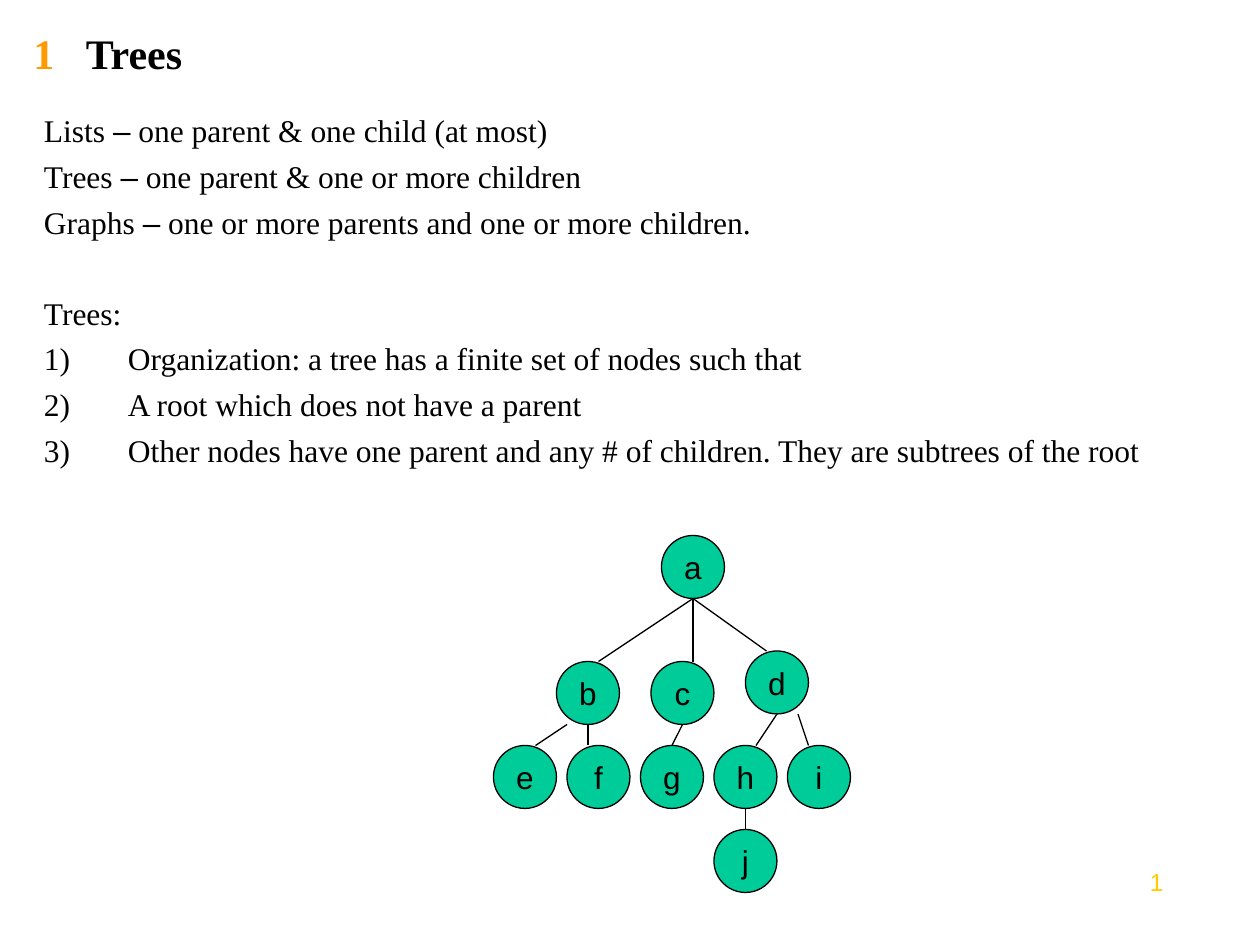
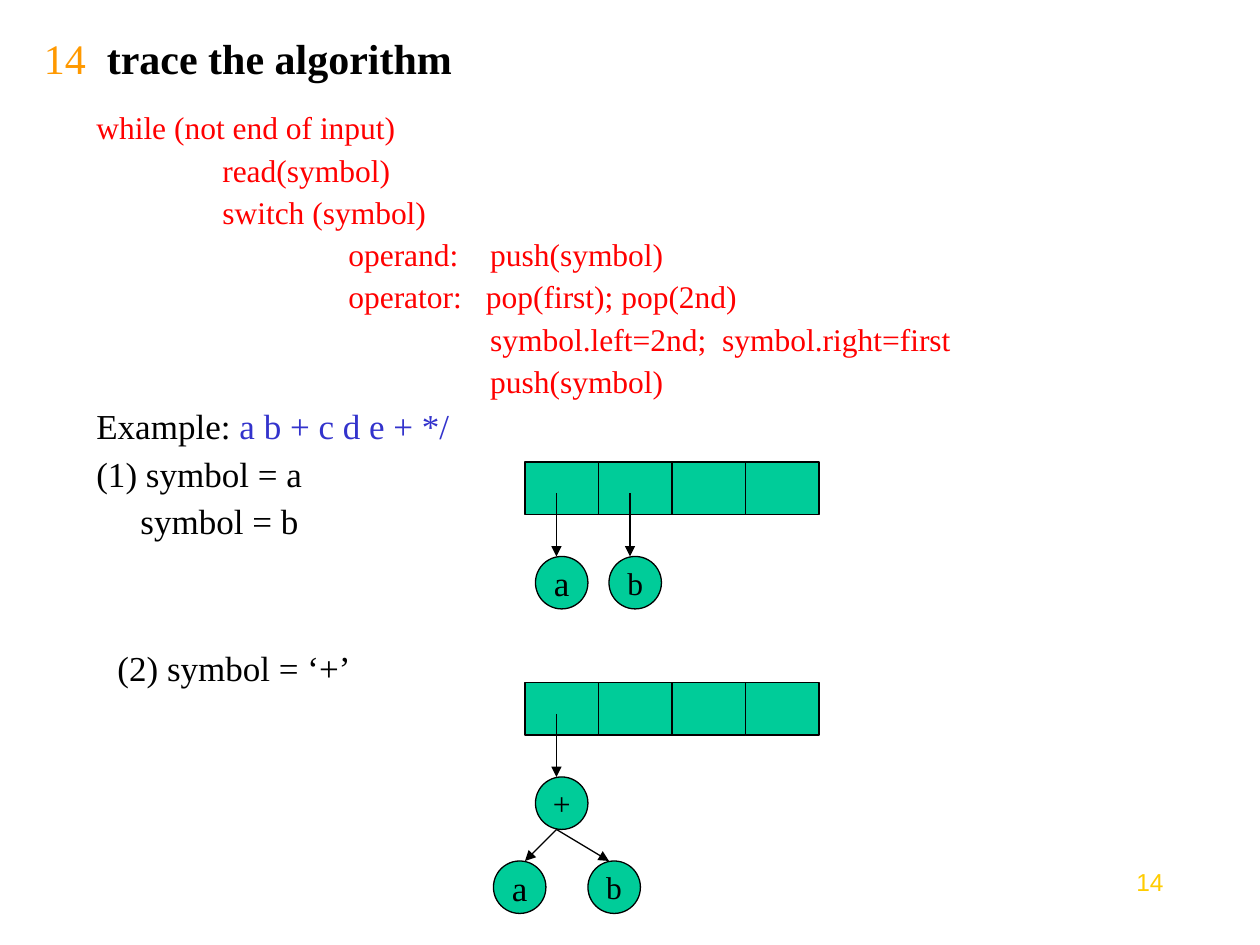
import dataclasses
import typing

import pptx
import pptx.dml.color
import pptx.enum.shapes
import pptx.enum.text
import pptx.oxml.ns
import pptx.util
from lxml import etree

EMU_PER_PX = 7620  # 120 px to the inch


@dataclasses.dataclass(frozen=True)
class Theme:
    serif: str = "Times New Roman"
    sans: str = "Arial"
    ink: str = "000000"
    node: str = "00CC99"
    title_number: str = "FF9900"
    page_number: str = "FFCC00"
    code: str = "FF0000"
    expression: str = "3333CC"
    title_size: int = 24
    step_size: int = 20
    body_size: int = 18
    page_size: int = 14
    line_width: float = 0.75


THEME = Theme()


class Box(typing.NamedTuple):
    left: int
    top: int
    width: int
    height: int


class Run(typing.NamedTuple):
    text: str
    color: str = THEME.ink
    font: str = THEME.serif
    size: int = THEME.body_size
    bold: bool = False


@dataclasses.dataclass(frozen=True)
class Line:
    """A paragraph; tab stops are px from the left of the text."""
    runs: list[Run]
    before: float = 0
    spacing: float = 1.0
    tabs: tuple[int, ...] = ()
    numbered: bool = False


class Node(typing.NamedTuple):
    label: str
    left: int
    top: int
    size: int = THEME.body_size


class Edge(typing.NamedTuple):
    x1: int
    y1: int
    x2: int
    y2: int


def px(length: int) -> int:
    return pptx.util.Emu(length * EMU_PER_PX)


def rgb(color: str) -> pptx.dml.color.RGBColor:
    return pptx.dml.color.RGBColor.from_string(color)


def add_child(parent, tag: str, **attributes: str):
    child = etree.SubElement(parent, pptx.oxml.ns.qn(tag))
    for name, value in attributes.items():
        child.set(name, value)
    return child


# Text
def write_text(frame, lines: list[Line], *, align: str = "LEFT",
               anchor: str = "TOP", wrap: bool = True) -> None:
    frame.word_wrap = wrap
    frame.vertical_anchor = pptx.enum.text.MSO_ANCHOR[anchor]
    for index, line in enumerate(lines):
        paragraph = frame.add_paragraph() if index else frame.paragraphs[0]
        paragraph.alignment = pptx.enum.text.PP_ALIGN[align]
        paragraph.space_before = pptx.util.Pt(line.before)
        paragraph.line_spacing = line.spacing
        properties = paragraph._p.get_or_add_pPr()
        if line.numbered:
            properties.set("marL", str(px(80)))
            properties.set("indent", str(px(-80)))
            add_child(properties, "a:buFont", typeface=THEME.serif)
            add_child(properties, "a:buAutoNum", type="arabicParenR")
        if line.tabs:
            tab_list = add_child(properties, "a:tabLst")
            for stop in line.tabs:
                add_child(tab_list, "a:tab", pos=str(px(stop)), algn="l")
        for part in line.runs:
            run = paragraph.add_run()
            run.text = part.text
            run.font.name = part.font
            run.font.size = pptx.util.Pt(part.size)
            run.font.bold = part.bold
            run.font.color.rgb = rgb(part.color)


def add_text(slide, box: Box, lines: list[Line], **text_format) -> None:
    shape = slide.shapes.add_textbox(*map(px, box))
    write_text(shape.text_frame, lines, **text_format)


# Diagram parts
def add_block(slide, kind: str, box: Box):
    preset = pptx.enum.shapes.MSO_SHAPE[kind]
    shape = slide.shapes.add_shape(preset, *map(px, box))
    shape.shadow.inherit = False
    shape.fill.solid()
    shape.fill.fore_color.rgb = rgb(THEME.node)
    shape.line.color.rgb = rgb(THEME.ink)
    shape.line.width = pptx.util.Pt(THEME.line_width)
    return shape


def add_node(slide, node: Node, diameter: int, font: str) -> None:
    shape = add_block(slide, "OVAL", Box(node.left, node.top, diameter, diameter))
    label = Run(node.label, font=font, size=node.size)
    write_text(shape.text_frame, [Line([label])], align="CENTER",
               anchor="MIDDLE", wrap=False)


def add_edge(slide, edge: Edge, arrow: bool = False) -> None:
    straight = pptx.enum.shapes.MSO_CONNECTOR.STRAIGHT
    connector = slide.shapes.add_connector(straight, *map(px, edge))
    connector.line.color.rgb = rgb(THEME.ink)
    connector.line.width = pptx.util.Pt(THEME.line_width)
    if arrow:
        add_child(connector.line._get_or_add_ln(), "a:tailEnd", type="triangle")
    add_child(connector._element.spPr, "a:effectLst")


def add_stack(slide, top: int, nodes: list[Node], edges: list[Edge]) -> None:
    for slot in range(4):
        add_block(slide, "RECTANGLE", Box(500 + 70 * slot, top, 70, 50))
    for node in nodes:
        add_node(slide, node, 50, THEME.serif)
    for edge in edges:
        add_edge(slide, edge, arrow=True)


# Shared slide frame
def add_slide(presentation, number: str, title: str, title_box: Box,
              title_tab: int, bold_number: bool):
    slide = presentation.slides.add_slide(presentation.slide_layouts[6])
    page = Run(number, THEME.page_number, THEME.sans, THEME.page_size)
    add_text(slide, Box(1040, 820, 80, 62), [Line([page])], align="RIGHT")
    heading = [
        Run(number + "\t", THEME.title_number, size=THEME.title_size, bold=bold_number),
        Run(title, size=THEME.title_size, bold=True),
    ]
    add_text(slide, title_box, [Line(heading, tabs=(title_tab,))], anchor="MIDDLE")
    return slide


def build_trees(presentation) -> None:
    slide = add_slide(presentation, "1", "Trees", Box(20, 20, 1020, 60), 50, True)

    # Definitions and numbered rules
    definitions = [
        ("Lists ", " one parent & one child (at most)"),
        ("Trees ", " one parent & one or more children"),
        ("Graphs ", " one or more parents and one or more children."),
    ]
    rules = [
        "Organization: a tree has a finite set of nodes such that",
        "A root which does not have a parent",
        "Other nodes have one parent and any # of children. "
        "They are subtrees of the root",
    ]
    lines = [Line([Run(term), Run("–", font=THEME.sans), Run(meaning)], before=4.5)
             for term, meaning in definitions]
    lines.append(Line([Run("Trees:")], before=30.5))
    lines += [Line([Run(rule)], before=4.5, numbered=True) for rule in rules]
    add_text(slide, Box(30, 100, 1170, 430), lines)

    # Tree
    nodes = [Node("a", 630, 510), Node("b", 530, 630), Node("c", 620, 630),
             Node("d", 710, 620), Node("j", 680, 790)]
    nodes += [Node(label, 470 + 70 * index, 710)
              for index, label in enumerate("efghi")]
    for node in nodes:
        add_node(slide, node, 60, THEME.sans)
    for edge in [
        Edge(660, 570, 570, 630), Edge(660, 570, 660, 630), Edge(660, 570, 730, 620),
        Edge(540, 690, 510, 710), Edge(560, 690, 560, 710), Edge(650, 690, 640, 710),
        Edge(740, 680, 720, 710), Edge(760, 680, 770, 710), Edge(710, 770, 710, 790),
    ]:
        add_edge(slide, edge)


def build_trace(presentation) -> None:
    slide = add_slide(presentation, "14", "trace the algorithm",
                      Box(30, 30, 1020, 50), 60, False)

    # Algorithm: text and its tab stops
    code = [
        ("while (not end of input)", ()),
        ("\tread(symbol)", (120,)),
        ("\tswitch (symbol)", (120,)),
        ("\toperand:\tpush(symbol)", (240, 375)),
        ("\toperator:\tpop(first); pop(2nd)", (240, 371)),
        ("\tsymbol.left=2nd;\tsymbol.right=first", (375, 596)),
        ("\tpush(symbol)", (375,)),
    ]
    lines = [Line([Run(text, THEME.code)], 11.2, 0.6, tabs) for text, tabs in code]

    # Example steps
    def step(text: str, color: str = THEME.ink) -> Run:
        return Run(text, color, size=THEME.step_size)

    lines += [
        Line([step("Example: "), step("a b + c d e + */", THEME.expression)], 12.5, 0.6),
        Line([step("(1) symbol = a")], 12.5, 0.6),
        Line([step("\tsymbol = b")], 12.5, 0.6, (42,)),
    ]
    add_text(slide, Box(80, 110, 950, 410), lines)
    add_text(slide, Box(100, 610, 1060, 53), [Line([step("(2) symbol = ‘+’")], 12.5)])

    # Stack after each step
    add_stack(slide, 440,
              [Node("a", 510, 530, THEME.step_size), Node("b", 580, 530)],
              [Edge(530, 470, 530, 530), Edge(600, 470, 600, 530)])
    add_stack(slide, 650,
              [Node("a", 470, 820, THEME.step_size), Node("b", 560, 820),
               Node("+", 510, 740)],
              [Edge(530, 680, 530, 740), Edge(530, 790, 500, 820),
               Edge(530, 790, 580, 820)])


def main() -> None:
    presentation = pptx.Presentation()
    presentation.slide_width = px(1200)
    presentation.slide_height = px(900)
    build_trees(presentation)
    build_trace(presentation)
    presentation.save("out.pptx")


if __name__ == "__main__":
    main()
